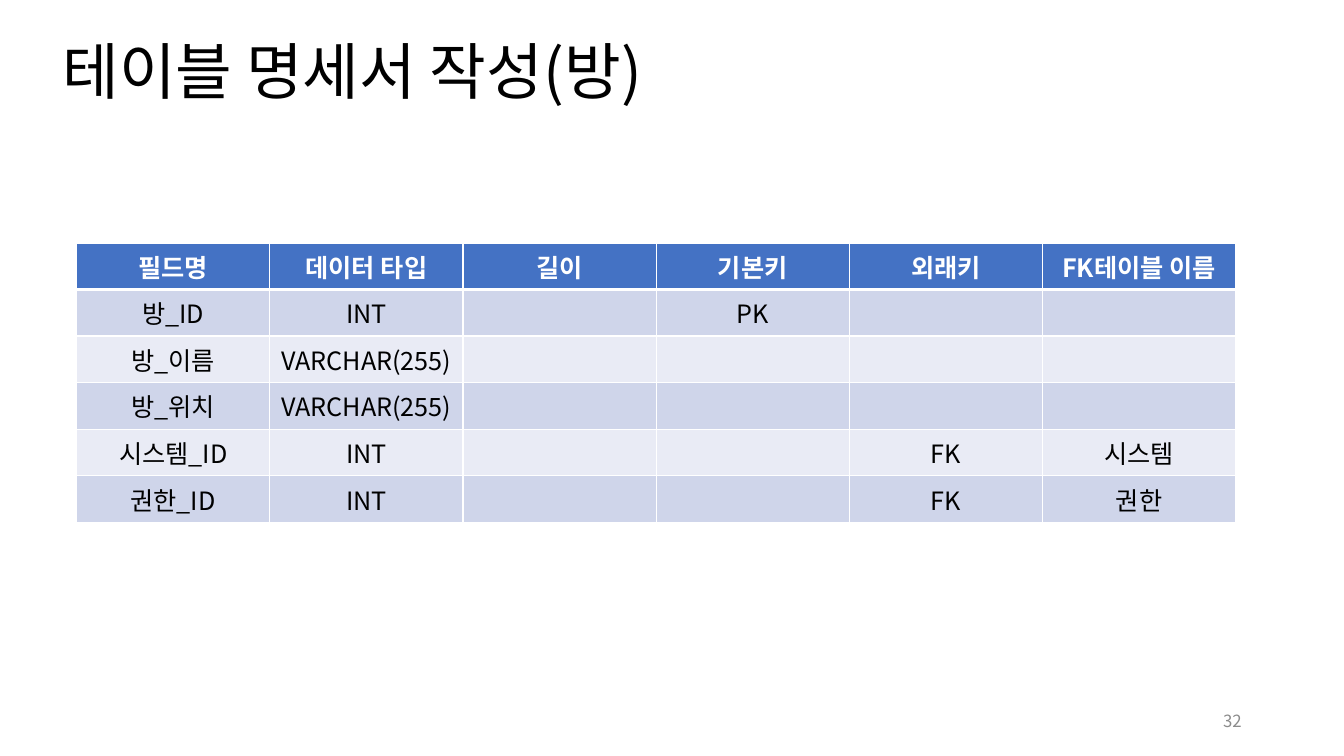
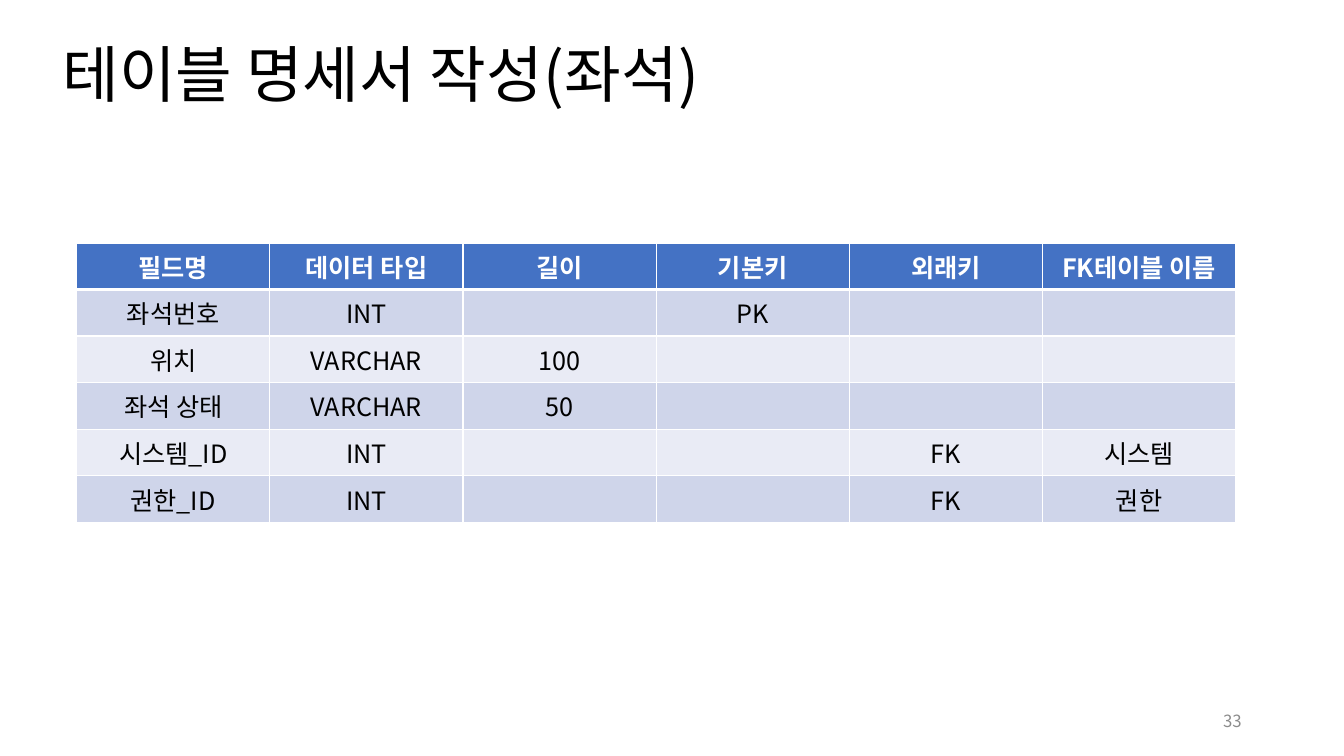
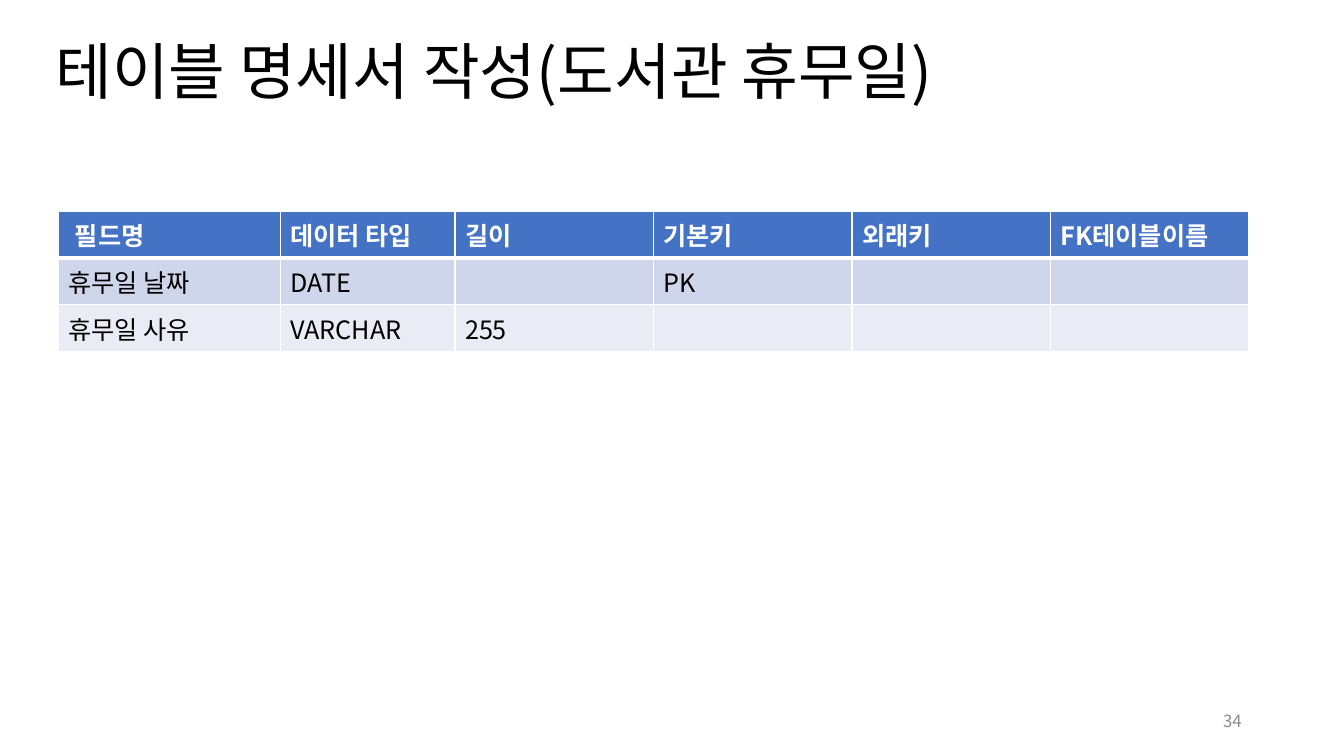
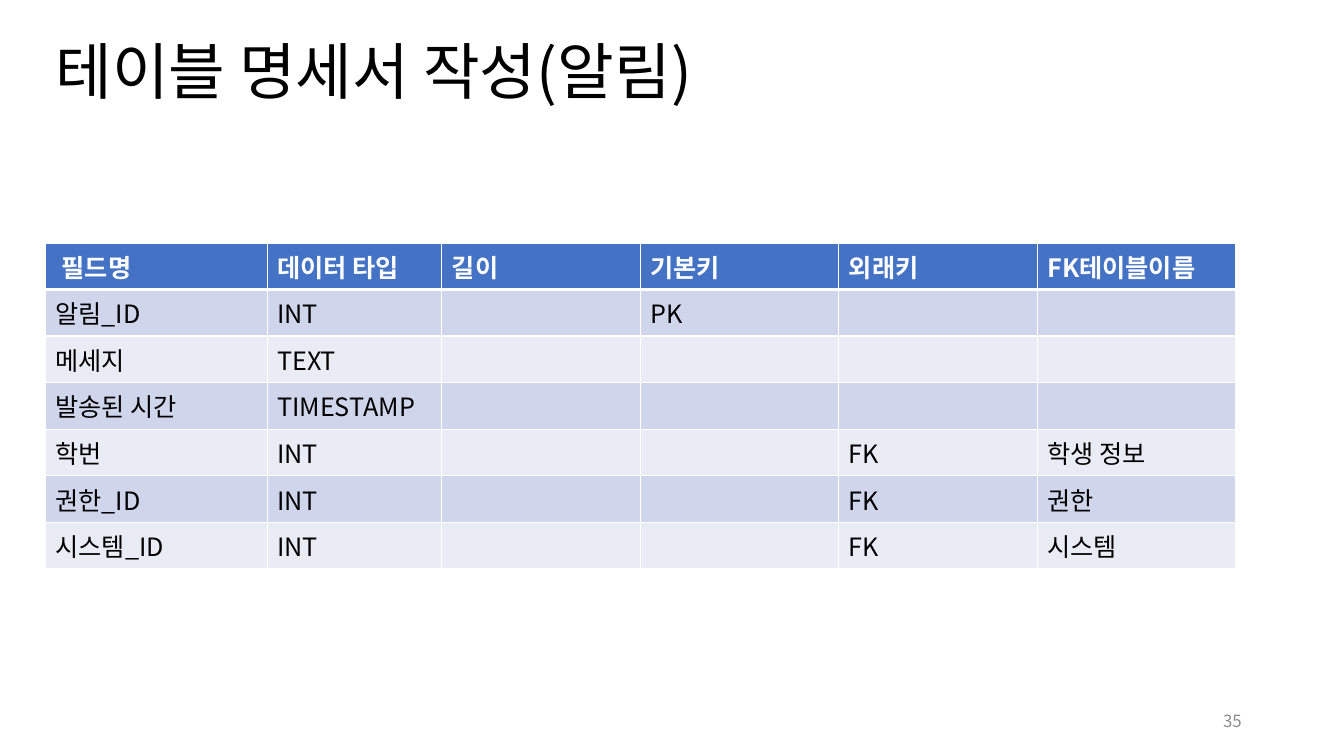
from lxml.etree import SubElement
from pptx import Presentation
from pptx.dml.color import RGBColor
from pptx.enum.text import MSO_ANCHOR, MSO_AUTO_SIZE, PP_ALIGN
from pptx.oxml.ns import qn
from pptx.util import Pt

FONT = "Noto Sans CJK SC"
COLORS = {
    "text": "000000",
    "header": "4472C4",
    "header_text": "FFFFFF",
    "border": "FFFFFF",
    "odd_row": "CFD5EA",
    "even_row": "E9EBF5",
    "number": "8C8C8C",
}
FIRST_NUMBER = 32
ROW_HEIGHT = 29.2
CELL_MARGIN = 7.2

CENTERED = {
    "header": ("필드명", "데이터 타입", "길이", "기본키", "외래키", "FK테이블 이름"),
    "widths": [138] * 6,
    "align": PP_ALIGN.CENTER,
    "first_header_indent": 0,
}
LEFT_ALIGNED = {
    "header": ("필드명", "데이터 타입", "길이", "기본키", "외래키", "FK테이블이름"),
    "widths": [158.4, 124.8] + [141.8] * 4,
    "align": PP_ALIGN.LEFT,
    "first_header_indent": 4.5,
}

SPECIFICATIONS = [
    {
        "title": "테이블 명세서 작성(방)",
        "title_at": (37.4, 25.9),
        "table_at": (54.7, 173.5),
        "style": CENTERED,
        "rows": [
            ("방_ID", "INT", "", "PK", "", ""),
            ("방_이름", "VARCHAR(255)", "", "", "", ""),
            ("방_위치", "VARCHAR(255)", "", "", "", ""),
            ("시스템_ID", "INT", "", "", "FK", "시스템"),
            ("권한_ID", "INT", "", "", "FK", "권한"),
        ],
    },
    {
        "title": "테이블 명세서 작성(좌석)",
        "title_at": (37.4, 28.1),
        "table_at": (54.7, 173.5),
        "style": CENTERED,
        "rows": [
            ("좌석번호", "INT", "", "PK", "", ""),
            ("위치", "VARCHAR", "100", "", "", ""),
            ("좌석 상태", "VARCHAR", "50", "", "", ""),
            ("시스템_ID", "INT", "", "", "FK", "시스템"),
            ("권한_ID", "INT", "", "", "FK", "권한"),
        ],
    },
    {
        "title": "테이블 명세서 작성(도서관 휴무일)",
        "title_at": (32.4, 25.9),
        "table_at": (41.8, 151.2),
        "style": LEFT_ALIGNED,
        "rows": [
            ("휴무일 날짜", "DATE", "", "PK", "", ""),
            ("휴무일 사유", "VARCHAR", "255", "", "", ""),
        ],
    },
    {
        "title": "테이블 명세서 작성(알림)",
        "title_at": (32.4, 25.9),
        "table_at": (32.4, 173.5),
        "style": LEFT_ALIGNED,
        "rows": [
            ("알림_ID", "INT", "", "PK", "", ""),
            ("메세지", "TEXT", "", "", "", ""),
            ("발송된 시간", "TIMESTAMP", "", "", "", ""),
            ("학번", "INT", "", "", "FK", "학생 정보"),
            ("권한_ID", "INT", "", "", "FK", "권한"),
            ("시스템_ID", "INT", "", "", "FK", "시스템"),
        ],
    },
]


def format_paragraph(paragraph, size, color, align, bold=False):
    paragraph.alignment = align
    font = paragraph.font
    font.size = Pt(size)
    font.bold = bold
    font.color.rgb = RGBColor.from_string(COLORS[color])
    font.name = FONT
    properties = paragraph._p.pPr.find(qn("a:defRPr"))
    SubElement(properties, qn("a:ea"), typeface=FONT)


def add_borders(cell, top, bottom):
    """Draw all four cell borders; top and bottom are widths in points."""
    properties = cell._tc.get_or_add_tcPr()
    for side, width in (("lnL", 1), ("lnR", 1), ("lnT", top), ("lnB", bottom)):
        line = SubElement(properties, qn(f"a:{side}"), w=str(Pt(width)))
        fill = SubElement(line, qn("a:solidFill"))
        SubElement(fill, qn("a:srgbClr"), val=COLORS["border"])


def set_title(slide, text, position):
    title = slide.shapes.title
    title.left, title.top = map(Pt, position)
    title.width, title.height = Pt(828), Pt(104.4)
    frame = title.text_frame
    frame.text = text
    frame.word_wrap = True
    frame.auto_size = MSO_AUTO_SIZE.NONE
    frame.vertical_anchor = MSO_ANCHOR.TOP
    paragraph = frame.paragraphs[0]
    paragraph.line_spacing = 0.9
    format_paragraph(paragraph, 44, "text", PP_ALIGN.LEFT)


def add_specification_table(slide, rows, position, style):
    widths = style["widths"]
    all_rows = [style["header"], *rows]
    left, top = position
    table = slide.shapes.add_table(
        len(all_rows), len(widths), Pt(left), Pt(top),
        Pt(sum(widths)), Pt(ROW_HEIGHT * len(all_rows))).table
    for column, width in zip(table.columns, widths):
        column.width = Pt(width)
    for row_index, values in enumerate(all_rows):
        table.rows[row_index].height = Pt(ROW_HEIGHT)
        is_header = row_index == 0
        fill = "header" if is_header else "odd_row" if row_index % 2 else "even_row"
        for column_index, value in enumerate(values):
            cell = table.cell(row_index, column_index)
            cell.text = value
            add_borders(cell, top=3 if row_index == 1 else 1, bottom=3 if is_header else 1)
            cell.fill.solid()
            cell.fill.fore_color.rgb = RGBColor.from_string(COLORS[fill])
            format_paragraph(cell.text_frame.paragraphs[0], 18,
                             "header_text" if is_header else "text",
                             style["align"], bold=is_header)
    table.cell(0, 0).margin_left = Pt(CELL_MARGIN + style["first_header_indent"])


def add_slide_number(slide, number):
    box = slide.shapes.add_textbox(Pt(678), Pt(500.5), Pt(216), Pt(28.8))
    frame = box.text_frame
    frame.text = str(number)
    frame.word_wrap = True
    frame.vertical_anchor = MSO_ANCHOR.MIDDLE
    format_paragraph(frame.paragraphs[0], 12, "number", PP_ALIGN.RIGHT)


def main():
    presentation = Presentation()
    presentation.slide_width, presentation.slide_height = Pt(960), Pt(540)
    title_only = presentation.slide_layouts.get_by_name("Title Only")
    for number, specification in enumerate(SPECIFICATIONS, FIRST_NUMBER):
        slide = presentation.slides.add_slide(title_only)
        set_title(slide, specification["title"], specification["title_at"])
        add_specification_table(slide, specification["rows"],
                                specification["table_at"], specification["style"])
        add_slide_number(slide, number)
    presentation.save("out.pptx")


if __name__ == "__main__":
    main()
